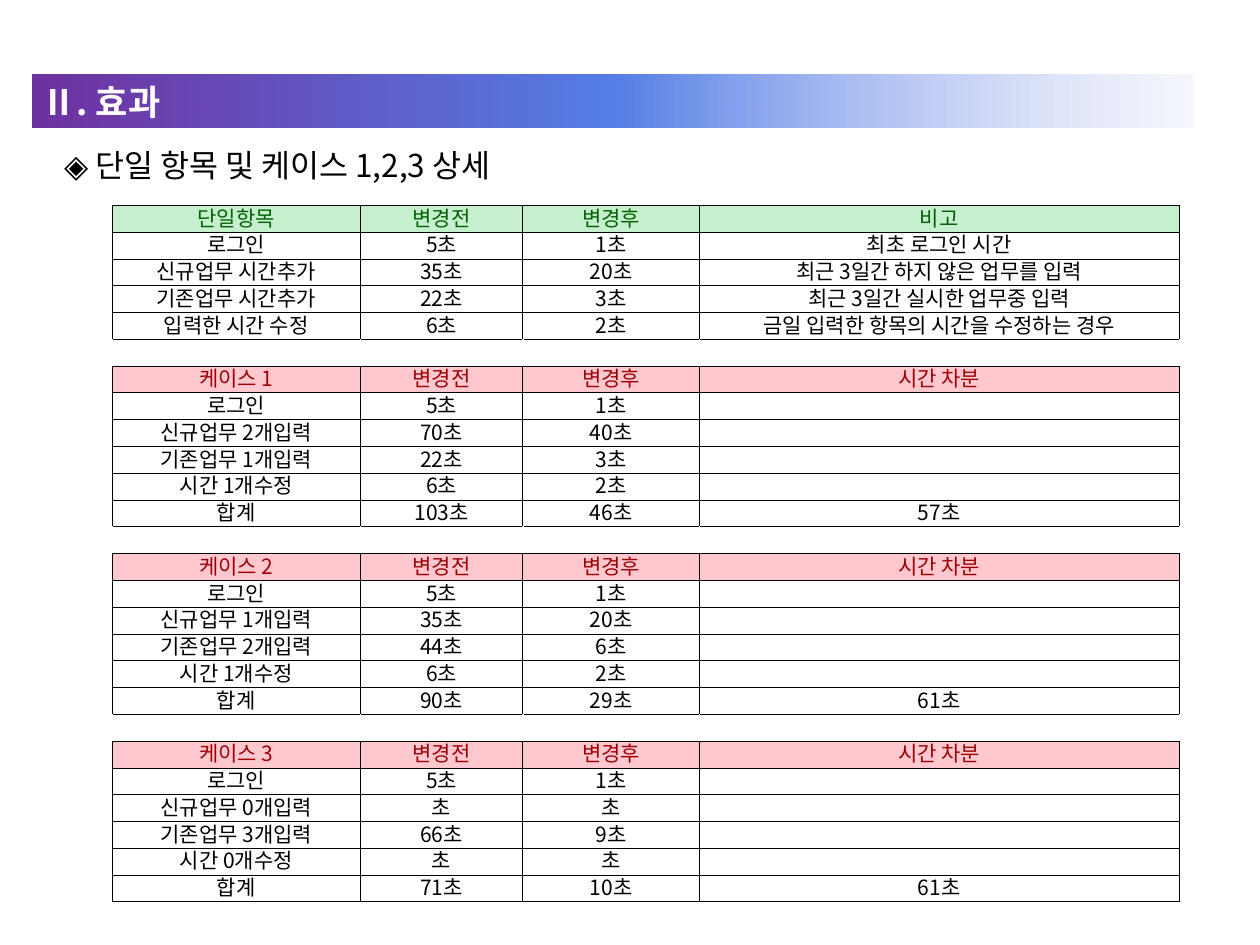
from pptx import Presentation
from pptx.dml.color import RGBColor
from pptx.enum import text
from pptx.oxml import parse_xml
from pptx.oxml.ns import nsdecls, qn
from pptx.util import Inches, Pt
from lxml import etree

WHITE = RGBColor(0xFF, 0xFF, 0xFF)
BLACK = RGBColor(0, 0, 0)
GREEN = RGBColor(0x00, 0x61, 0x00)
MINT = RGBColor(0xC6, 0xEF, 0xCE)
RED = RGBColor(0x9C, 0x00, 0x06)
PINK = RGBColor(0xFF, 0xC7, 0xCE)

KR, JP = "Noto Sans CJK KR", "Noto Sans CJK JP"
COLS = [1.97, 1.29, 1.4, 3.81]
TALL = 5.53
BLANK = [""] * 4

SINGLE = [
    ["단일항목", "변경전", "변경후", "비고"],
    ["로그인", "5초", "1초", "최초 로그인 시간"],
    ["신규업무 시간추가", "35초", "20초", "최근 3일간 하지 않은 업무를 입력"],
    ["기존업무 시간추가", "22초", "3초", "최근 3일간 실시한 업무중 입력"],
    ["입력한 시간 수정", "6초", "2초", "금일 입력한 항목의 시간을 수정하는 경우"],
]

# Per case: counts (new, existing, edited), seconds before, after, saved
CASES = [
    ((2, 1, 1), (5, 70, 22, 6, 103), (1, 40, 3, 2, 46), 57),
    ((1, 2, 1), (5, 35, 44, 6, 90), (1, 20, 6, 2, 29), 61),
    ((0, 3, 0), (5, "", 66, "", 71), (1, "", 9, "", 10), 61),
]


def case_rows(num, counts, before, after, saved):
    new, old, edit = counts
    names = ["로그인", f"신규업무 {new}개입력", f"기존업무 {old}개입력",
             f"시간 {edit}개수정", "합계"]
    rows = [[f"케이스 {num}", "변경전", "변경후", "시간 차분"]]
    for name, pre, post in zip(names, before, after):
        rows.append([name, f"{pre}초", f"{post}초", ""])
    rows[-1][3] = f"{saved}초"
    return rows


def style(run, size, color, face, bold=False):
    font = run.font
    font.size, font.bold, font.name = Pt(size), bold, face
    font.color.rgb = color
    east = etree.SubElement(run._r.rPr, qn("a:ea"))
    east.set("typeface", face)


def add_title(slide):
    title = slide.shapes.title
    title.left, title.top = Inches(0.23), Inches(0.57)
    title.width, title.height = Inches(9.27), Inches(0.47)
    # Pill outline with a fading fill
    props = title._element.spPr
    props.append(parse_xml(
        f'<a:prstGeom {nsdecls("a")} prst="roundRect"><a:avLst>'
        '<a:gd name="adj" fmla="val 50000"/></a:avLst></a:prstGeom>'))
    props.append(parse_xml(
        f'<a:gradFill {nsdecls("a")} rotWithShape="1"><a:gsLst>'
        '<a:gs pos="0"><a:srgbClr val="7030A0"/></a:gs>'
        '<a:gs pos="50000"><a:srgbClr val="557FE7"/></a:gs>'
        '<a:gs pos="100000"><a:srgbClr val="B3BFF1">'
        '<a:alpha val="12000"/></a:srgbClr></a:gs>'
        '</a:gsLst><a:lin ang="0" scaled="0"/></a:gradFill>'))
    title.line.color.rgb = WHITE
    title.line.width = Pt(3)
    frame = title.text_frame
    frame.text = "Ⅱ. 효과"
    frame.auto_size = text.MSO_AUTO_SIZE.NONE
    frame.vertical_anchor = text.MSO_ANCHOR.MIDDLE
    frame.margin_left = frame.margin_right = Inches(0.1)
    frame.margin_top = frame.margin_bottom = 0
    para = frame.paragraphs[0]
    para.alignment = text.PP_ALIGN.LEFT
    style(para.runs[0], 20, WHITE, KR, True)


def add_lead(slide):
    box = slide.shapes.add_textbox(
        Inches(0.23), Inches(1.11), Inches(8.91), Inches(0.71))
    frame = box.text_frame
    frame.word_wrap = True
    frame.margin_left, frame.margin_right = Inches(0.28), 0
    frame.text = "◈ 단일 항목 및 케이스 1,2,3 상세"
    style(frame.paragraphs[0].runs[0], 18, BLACK, KR)


def add_edges(cell, sides):
    props = cell._tc.get_or_add_tcPr()
    for side in sides:
        props.append(parse_xml(
            f'<a:ln{side} {nsdecls("a")} w="6350"><a:solidFill>'
            f'<a:srgbClr val="{BLACK}"/></a:solidFill></a:ln{side}>'))


def fill_cell(cell, words, color, back, face, sides):
    add_edges(cell, sides)
    if back is None:
        cell.fill.background()
    else:
        cell.fill.solid()
        cell.fill.fore_color.rgb = back
    cell.vertical_anchor = text.MSO_ANCHOR.BOTTOM
    cell.margin_left = cell.margin_right = cell.margin_top = Inches(0.01)
    cell.margin_bottom = 0
    para = cell.text_frame.paragraphs[0]
    para.alignment = text.PP_ALIGN.CENTER
    para.line_spacing = Pt(14)
    if words:
        para.text = words
        style(para.runs[0], 12, color, face)
    else:
        # An empty cell takes its height from the end mark
        end = etree.SubElement(para._p, qn("a:endParaRPr"))
        end.set("sz", "1200")


def add_grid(slide, blocks):
    # One blank row parts each block from the next
    rows = []
    for num, block in enumerate(blocks):
        if num:
            rows.append((BLANK, BLACK, None, "TB"))
        head = (GREEN, MINT) if num == 0 else (RED, PINK)
        rows.append((block[0], *head, "LRTB"))
        rows += [(row, BLACK, None, "LRTB") for row in block[1:]]

    grid = slide.shapes.add_table(
        len(rows), len(COLS), Inches(0.89), Inches(1.63),
        Inches(sum(COLS)), Inches(TALL)).table
    grid.first_row = grid.horz_banding = False
    for col, wide in zip(grid.columns, COLS):
        col.width = Inches(wide)
    for r, (row, color, back, sides) in enumerate(rows):
        grid.rows[r].height = Inches(TALL / len(rows))
        for c, words in enumerate(row):
            face = KR if r == c == 0 else JP
            fill_cell(grid.cell(r, c), words, color, back, face, sides)


def main():
    prs = Presentation()
    prs.slide_width, prs.slide_height = Inches(10), Inches(7.5)
    slide = prs.slides.add_slide(prs.slide_layouts[5])
    add_title(slide)
    add_lead(slide)
    cases = [case_rows(num, *case) for num, case in enumerate(CASES, 1)]
    add_grid(slide, [SINGLE, *cases])
    prs.save("out.pptx")


if __name__ == "__main__":
    main()
